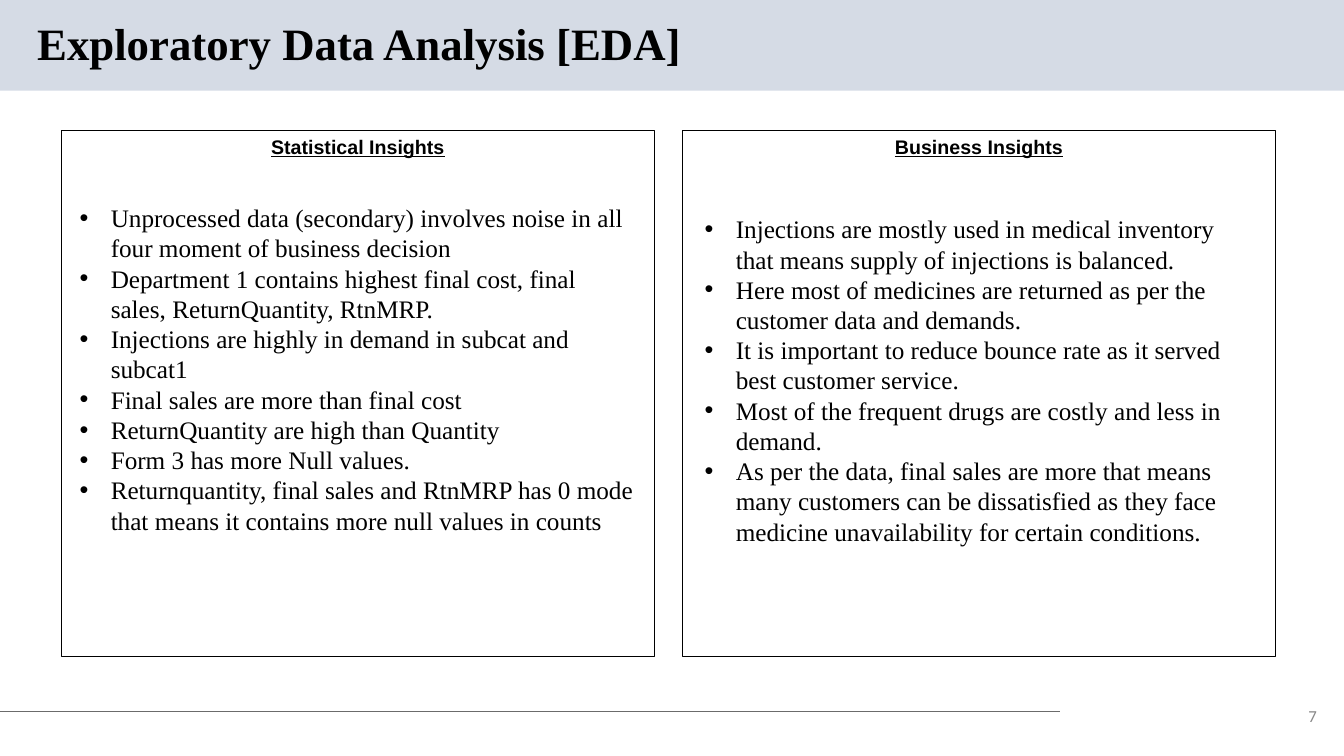
import pptx
import pptx.dml.color
import pptx.enum.shapes
import pptx.enum.text
import pptx.oxml
import pptx.oxml.ns
import pptx.util
from pptx.util import Inches

ALIGN = pptx.enum.text.PP_ALIGN
ANCHOR = pptx.enum.text.MSO_ANCHOR
SERIF = "Times New Roman"

TITLE = {"name": SERIF, "size": 32, "bold": True}
HEADING = {"name": "Arial", "size": 14, "bold": True, "underline": True}
BODY = {"name": SERIF, "size": 18}
NUMBER = {"name": "Calibri", "size": 12}

PANEL_TOP, PANEL_WIDTH, PANEL_HEIGHT = 1.29, 5.88, 5.22
BULLET_INDENT = 0.31

# heading, panel left, box of the bullet list, bullets
PANELS = [
    ("Statistical Insights", 0.61, (0.69, 1.96, 5.71, 4.04), [
        "Unprocessed data (secondary) involves noise in all four moment of business decision",
        "Department 1 contains highest final cost, final sales, ReturnQuantity, RtnMRP.",
        "Injections are highly in demand in subcat and subcat1",
        "Final sales are more than final cost",
        "ReturnQuantity are high than Quantity",
        "Form 3 has more Null values.",
        "Returnquantity, final sales and RtnMRP has 0 mode that means it contains "
        "more null values in counts",
    ]),
    ("Business Insights", 6.77, (6.89, 2.07, 5.67, 3.43), [
        "Injections are mostly used in medical inventory that means supply of injections "
        "is balanced.",
        "Here most of medicines are returned as per the customer data and demands.",
        "It is important to reduce bounce rate as it served best customer service.",
        "Most of the frequent drugs are costly and less in demand.",
        "As per the data, final sales are more that means many customers can be "
        "dissatisfied as they face medicine unavailability for certain conditions.",
    ]),
]


def rgb(value):
    return pptx.dml.color.RGBColor.from_string(value)


def add_rect(slide, box, fill=None, line=None):
    sp = slide.shapes.add_shape(pptx.enum.shapes.MSO_SHAPE.RECTANGLE, *map(Inches, box))
    sp.shadow.inherit = False
    if fill:
        sp.fill.solid()
        sp.fill.fore_color.rgb = rgb(fill)
    else:
        sp.fill.background()
    if line:
        sp.line.color.rgb = rgb(line)
        sp.line.width = pptx.util.Pt(0.75)
    else:
        sp.line.fill.background()


def add_rule(slide, y, right, color):
    """Draw a thin horizontal line from the left edge of the slide."""
    line = slide.shapes.add_connector(pptx.enum.shapes.MSO_CONNECTOR.STRAIGHT,
                                      0, Inches(y), Inches(right), Inches(y))
    line.line.color.rgb = rgb(color)
    line.line.width = pptx.util.Pt(0.75)
    pptx.oxml.ns  # namespace helpers are used by SubElement below
    line._element.spPr.append(pptx.oxml.parse_xml(
        '<a:effectLst xmlns:a="http://schemas.openxmlformats.org/drawingml/2006/main"/>'))


def set_bullet(p):
    pPr = p._p.get_or_add_pPr()
    indent = Inches(BULLET_INDENT)
    pPr.set("marL", str(indent))
    pPr.set("indent", str(-indent))
    for tag, key, value in (("a:buFont", "typeface", "Arial"), ("a:buChar", "char", "•")):
        el = pptx.oxml.xmlchemy.OxmlElement(tag)
        el.set(key, value)
        pPr.append(el)


def add_text(slide, box, lines, font, color="000000", align=ALIGN.LEFT,
             anchor=ANCHOR.TOP, spacing=None, bullets=False):
    tf = slide.shapes.add_textbox(*map(Inches, box)).text_frame
    tf.word_wrap = True
    tf.vertical_anchor = anchor
    for i, line in enumerate(lines):
        p = tf.add_paragraph() if i else tf.paragraphs[0]
        p.alignment = align
        if spacing:
            p.line_spacing = spacing
        if bullets:
            set_bullet(p)
        r = p.add_run()
        r.text = line
        for name, value in font.items():
            setattr(r.font, name, pptx.util.Pt(value) if name == "size" else value)
        r.font.color.rgb = rgb(color)


def add_panel(slide, heading, left, list_box, bullets):
    add_rect(slide, (left, PANEL_TOP, PANEL_WIDTH, PANEL_HEIGHT), line="000000")
    add_text(slide, (left, PANEL_TOP, PANEL_WIDTH, 0.34), [heading], HEADING,
             align=ALIGN.CENTER)
    add_text(slide, list_box, bullets, BODY, bullets=True)


def main():
    prs = pptx.Presentation()
    prs.slide_width, prs.slide_height = Inches(13.33), Inches(7.5)
    slide = prs.slides.add_slide(prs.slide_layouts[6])

    add_rect(slide, (0, 0, 13.33, 0.9), fill="D5DBE5")
    add_rule(slide, 7.06, 10.51, "6B6B6B")
    add_text(slide, (0.27, 0.16, 10.11, 0.59), ["Exploratory Data Analysis [EDA]"], TITLE,
             anchor=ANCHOR.MIDDLE, spacing=0.9)
    add_text(slide, (12.73, 6.94, 0.43, 0.32), ["7"], NUMBER, color="888888",
             align=ALIGN.RIGHT, anchor=ANCHOR.MIDDLE)
    for panel in PANELS:
        add_panel(slide, *panel)

    prs.save("out.pptx")


if __name__ == "__main__":
    main()
